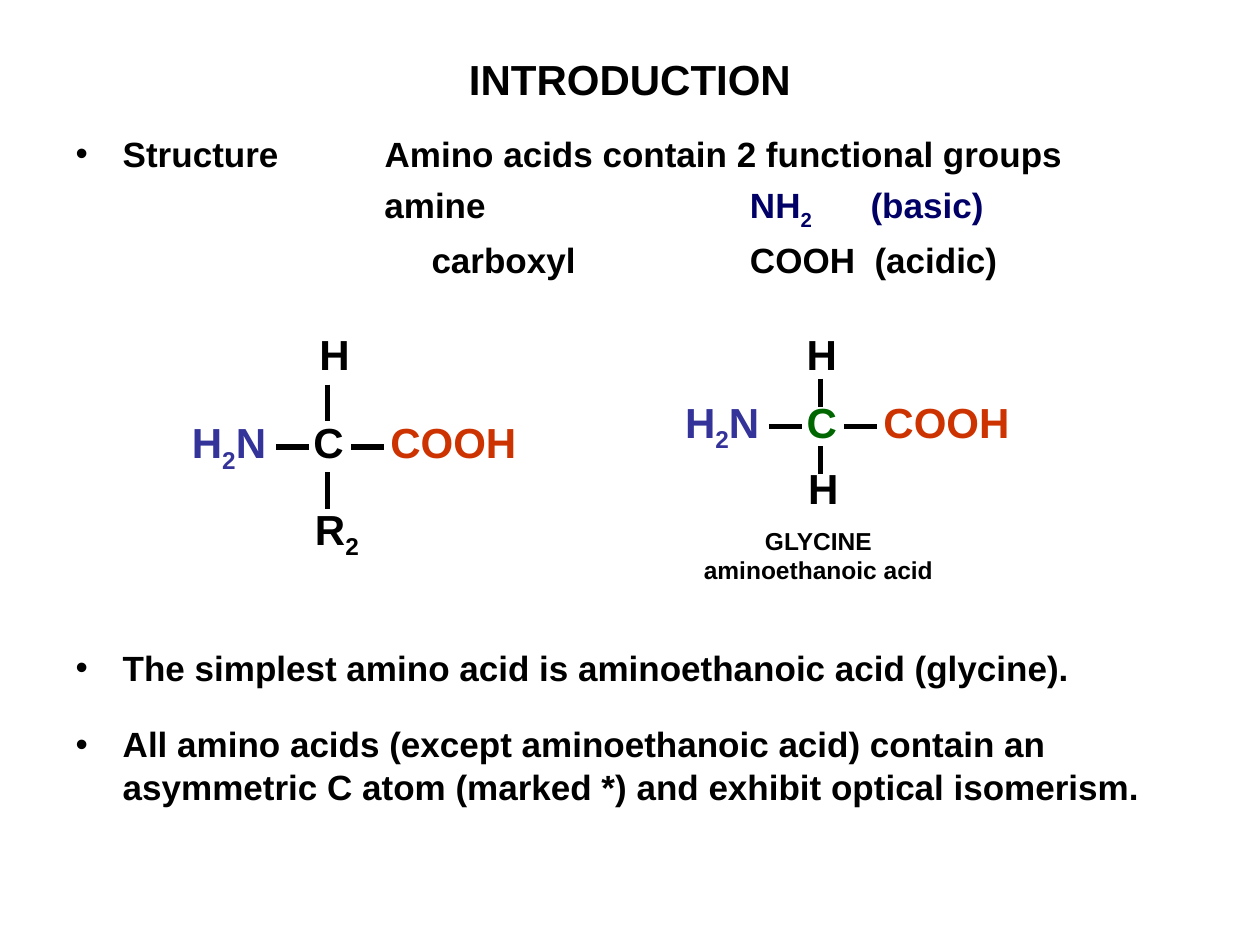
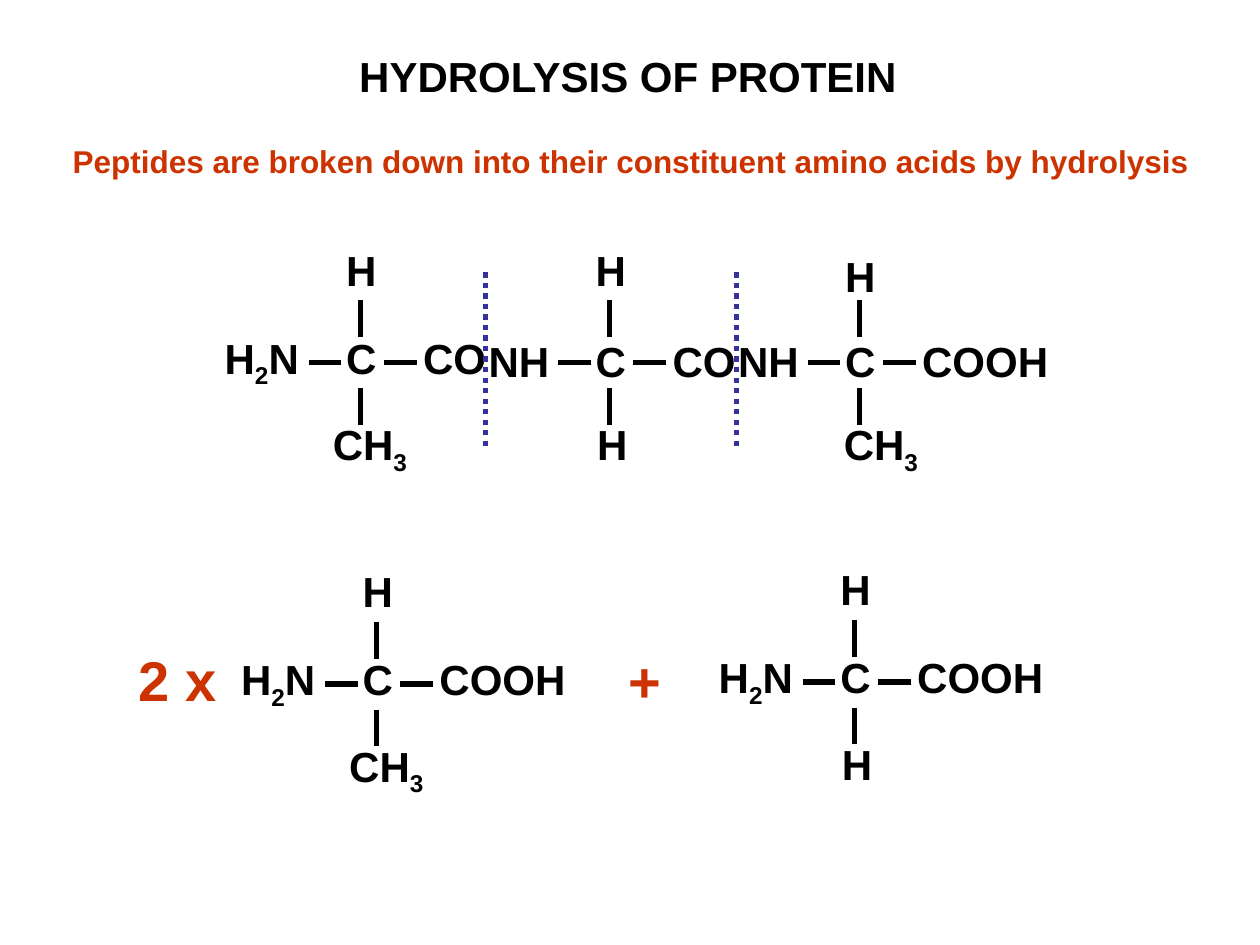
from itertools import groupby

from lxml import etree
from pptx import Presentation
from pptx.dml.color import RGBColor
from pptx.enum import dml, shapes, text
from pptx.oxml import ns
from pptx.util import Cm, Pt

BLACK = RGBColor(0x00, 0x00, 0x00)
NAVY = RGBColor(0x00, 0x00, 0x66)
BLUE = RGBColor(0x33, 0x33, 0x99)
GREEN = RGBColor(0x00, 0x66, 0x00)
RED = RGBColor(0xCC, 0x33, 0x00)
FONT = "Arial"

LINE_WIDTH = Pt(3)
LABEL_HEIGHT = 1.42
CARBON_OFFSET = 0.53
CARBON_TO_ACID = 1.55
AMINE_WIDTHS = {"H2N": 2.45, "NH": 2.16}
ACID_WIDTHS = {"COOH": 3.2, "CO": 1.9}
WIDE_PITCH, TIGHT_PITCH = 1.77, 1.36
TEXT_INDENT = 0.95


def set_font(paragraph, size, color=BLACK):
    font = paragraph.font
    font.name = FONT
    font.size = Pt(size)
    font.bold = True
    font.color.rgb = color


def set_tabs(paragraph, stops):
    tab_list = etree.SubElement(paragraph._p.get_or_add_pPr(), ns.qn("a:tabLst"))
    for stop in stops:
        etree.SubElement(tab_list, ns.qn("a:tab"), pos=str(Cm(stop)), algn="l")


def set_bullet(paragraph):
    properties = paragraph._p.get_or_add_pPr()
    properties.set("marL", str(Cm(TEXT_INDENT)))
    properties.set("indent", str(Cm(-TEXT_INDENT)))
    etree.SubElement(properties, ns.qn("a:buChar"), char="•")


def add_formula(paragraph, formula, color=None):
    for is_index, letters in groupby(formula, str.isdigit):
        run = paragraph.add_run()
        run.text = "".join(letters)
        if color is not None:
            run.font.color.rgb = color
        if is_index:
            run._r.get_or_add_rPr().set("baseline", "-25000")


def add_label(parent, box, anchor=text.MSO_ANCHOR.TOP, wrap=True):
    frame = parent.shapes.add_textbox(*map(Cm, box)).text_frame
    frame.word_wrap = wrap
    frame.vertical_anchor = anchor
    return frame


def add_centred(slide, box, lines, size, color=BLACK):
    frame = add_label(slide, box)
    for index, line in enumerate(lines):
        paragraph = frame.add_paragraph() if index else frame.paragraphs[0]
        paragraph.text = line
        paragraph.alignment = text.PP_ALIGN.CENTER
        set_font(paragraph, size, color)


def add_line(parent, x1, y1, x2, y2, color=BLACK, dash=None):
    line = parent.shapes.add_connector(
        shapes.MSO_CONNECTOR.STRAIGHT, Cm(x1), Cm(y1), Cm(x2), Cm(y2))
    line.line.color.rgb = color
    line.line.width = LINE_WIDTH
    if dash:
        line.line.dash_style = dash
    etree.SubElement(line._element.spPr, ns.qn("a:effectLst"))


def add_title(slide, title, box):
    holder = slide.shapes.title
    holder.left, holder.top, holder.width, holder.height = map(Cm, box)
    frame = holder.text_frame
    frame.text = title
    frame.vertical_anchor = text.MSO_ANCHOR.MIDDLE
    frame.auto_size = text.MSO_AUTO_SIZE.NONE
    frame.paragraphs[0].alignment = text.PP_ALIGN.CENTER
    set_font(frame.paragraphs[0], 24)


def add_molecule(slide, axis, top, amine="H2N", acid="COOH", side="H",
                 colors=(BLACK, BLACK, BLACK), pitch=WIDE_PITCH,
                 top_shift=(0, 0), side_shift=0):
    group = slide.shapes.add_group_shape()
    carbon = AMINE_WIDTHS[amine]
    acid_start = carbon + CARBON_TO_ACID
    backbone = add_label(
        group,
        (axis - carbon - CARBON_OFFSET, top + pitch,
         acid_start + ACID_WIDTHS[acid], LABEL_HEIGHT),
        text.MSO_ANCHOR.MIDDLE).paragraphs[0]
    set_tabs(backbone, (carbon, acid_start))
    set_font(backbone, 24)
    for part, color in zip((amine, "\tC", "\t" + acid), colors):
        add_formula(backbone, part, color)

    across, down = top_shift
    for formula, x, y in (("H", axis - 0.53 + across, top + down),
                          (side, axis - 0.5 + side_shift, top + 2 * pitch - 0.02)):
        width = 2 if len(formula) > 2 else 1.4
        substituent = add_label(group, (x, y, width, LABEL_HEIGHT), wrap=False).paragraphs[0]
        set_font(substituent, 24)
        add_formula(substituent, formula)

    middle = top + pitch + 0.74
    for start in (-1.04, 0.48):
        add_line(group, axis + start, middle, axis + start + 0.66, middle)
    for centre in (middle - pitch / 2, middle + pitch / 2):
        reach = 0.21 * pitch
        add_line(group, axis, centre - reach, axis, centre + reach)


def add_points(slide, box):
    body = slide.placeholders[1]
    body.left, body.top, body.width, body.height = map(Cm, box)
    frame = body.text_frame
    frame.auto_size = text.MSO_AUTO_SIZE.NONE
    points = (
        (0, "Structure\tAmino acids contain 2 functional groups"),
        (270, "The simplest amino acid is aminoethanoic acid (glycine)."),
        (19.5, "All amino acids (except aminoethanoic acid) contain an asymmetric "
               "C atom (marked *) and exhibit optical isomerism."),
    )
    for index, (gap, words) in enumerate(points):
        point = frame.add_paragraph() if index else frame.paragraphs[0]
        point.text = words
        set_bullet(point)
        if "\t" in words:
            set_tabs(point, (6.23,))
        point.space_before = Pt(gap)
        set_font(point, 20)


def add_functional_groups(slide, box):
    frame = add_label(slide, box)
    amine = frame.paragraphs[0]
    set_tabs(amine, (7.37, 9.8))
    set_font(amine, 20)
    amine.add_run().text = "amine"
    add_formula(amine, "\tNH2\t(basic)", NAVY)

    carboxyl = frame.add_paragraph()
    set_tabs(carboxyl, (TEXT_INDENT, 7.37, 9.88))
    carboxyl.space_before = Pt(4.5)
    set_font(carboxyl, 20)
    carboxyl.add_run().text = "\tcarboxyl\tCOOH\t(acidic)"


def add_peptide(slide, left, top):
    residue = 5.03
    add_molecule(slide, left, top, acid="CO", side="CH3", side_shift=-0.3)
    add_molecule(slide, left + residue, top, amine="NH", acid="CO")
    add_molecule(slide, left + 2 * residue, top, amine="NH", side="CH3",
                 top_shift=(0, 0.13), side_shift=-0.06)
    for cut in (left + 2.52, left + 7.58):
        add_line(slide, cut, top + 0.69, cut, top + 4.28, BLUE,
                 dml.MSO_LINE.ROUND_DOT)


def add_products(slide, left, top):
    add_centred(slide, (left, top + 1.65, 2.08, 1.63), ["2 x"], 32, RED)
    add_molecule(slide, left + 5.05, top + 0.04, side="CH3", side_shift=-0.3)
    add_centred(slide, (left + 9.88, top + 1.67, 1.17, 1.63), ["+"], 32, RED)
    add_molecule(slide, left + 14.68, top)


def build_introduction(deck):
    slide = deck.slides.add_slide(deck.slide_layouts[1])
    add_title(slide, "INTRODUCTION", (1.27, 0, 22.86, 3.18))
    add_points(slide, (1.27, 2.54, 22.86, 16.51))
    add_functional_groups(slide, (7.5, 3.57, 15.5, 2.3))
    add_molecule(slide, 6.6, 6.5, side="R2", colors=(BLUE, BLACK, RED),
                 top_shift=(0.12, 0))
    add_molecule(slide, 16.54, 6.5, colors=(BLUE, GREEN, RED), pitch=TIGHT_PITCH)
    add_centred(slide, (13.34, 10.47, 6.32, 1.45),
                ["GLYCINE", "aminoethanoic acid"], 14)


def build_hydrolysis(deck):
    slide = deck.slides.add_slide(deck.slide_layouts[5])
    add_title(slide, "HYDROLYSIS OF PROTEIN", (3.02, 0.89, 19.28, 1.27))
    add_centred(
        slide, (0.92, 2.74, 23.6, 2.51),
        ["Peptides are broken down into their constituent amino acids by hydrolysis"],
        18, RED)
    add_peptide(slide, 7.26, 4.8)
    add_products(slide, 2.54, 11.24)


def main():
    deck = Presentation()
    deck.slide_width, deck.slide_height = Cm(25.4), Cm(19.05)
    build_introduction(deck)
    build_hydrolysis(deck)
    deck.save("out.pptx")


if __name__ == "__main__":
    main()
